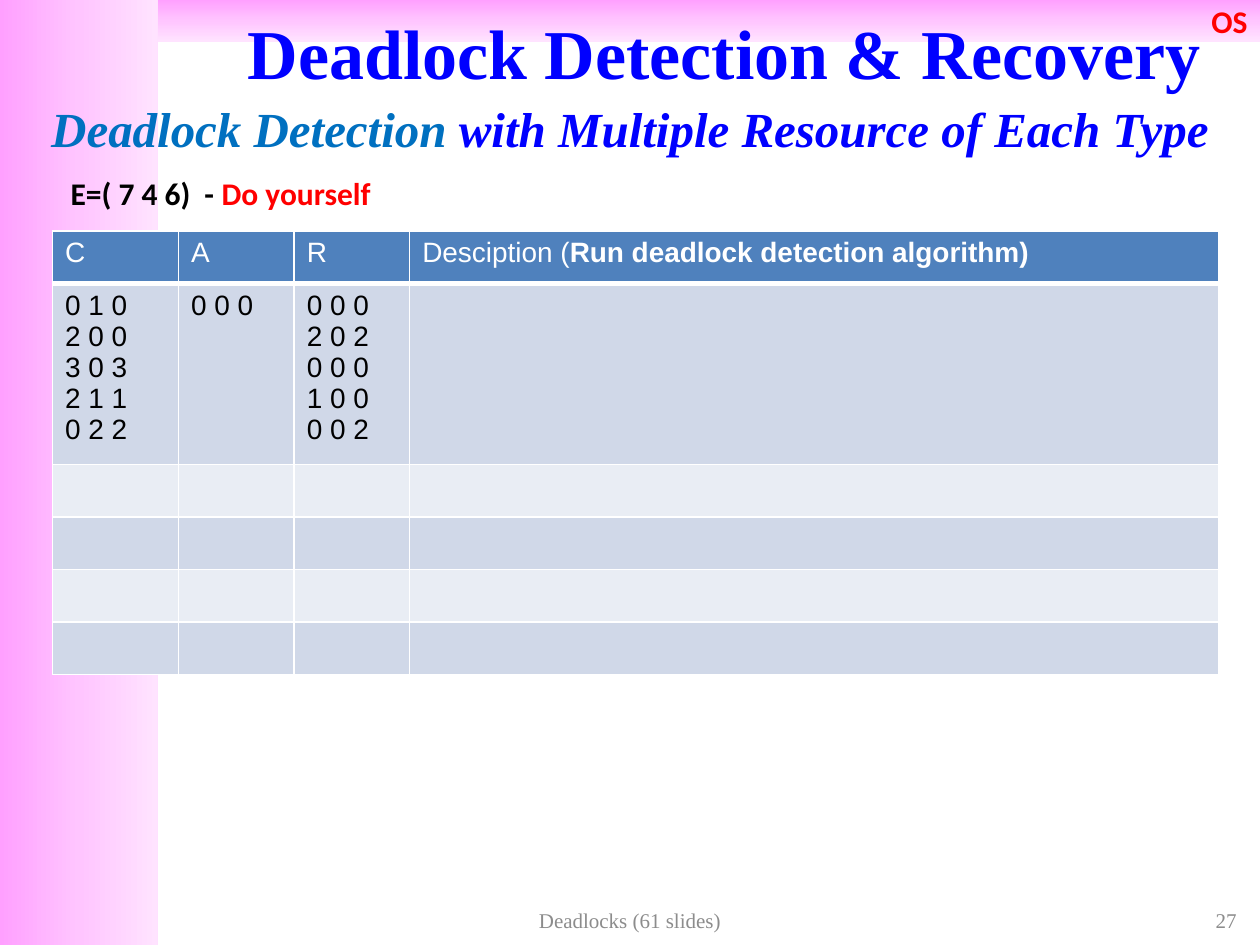
from pptx import Presentation
from pptx.dml.color import RGBColor
from pptx.enum.shapes import MSO_SHAPE
from pptx.enum.text import MSO_ANCHOR, PP_ALIGN
from pptx.oxml import parse_xml
from pptx.oxml.ns import nsdecls
from pptx.util import Cm, Pt

WHITE = RGBColor(0xFF, 0xFF, 0xFF)
BLACK = RGBColor(0, 0, 0)
RED = RGBColor(0xFF, 0, 0)
BLUE = RGBColor(0, 0, 0xFF)
SKY = RGBColor(0, 0x70, 0xC0)
GRAY = RGBColor(0x8C, 0x8C, 0x8C)
HEADER = RGBColor(0x4F, 0x81, 0xBD)
BAND_DARK = RGBColor(0xD0, 0xD8, 0xE8)
BAND_LIGHT = RGBColor(0xE9, 0xED, 0xF4)
PINKS = [(0, RGBColor(0xFF, 0xA0, 0xFF)), (50, RGBColor(0xFF, 0xC5, 0xFF)),
         (100, RGBColor(0xFF, 0xE3, 0xFF))]

COLUMNS = [2.54, 2.33, 2.33, 16.3]
ROW_HEIGHT, MATRIX_HEIGHT = 1.06, 3.64
HEADINGS = ["C", "A", "R", "Desciption ("]
MATRICES = [["0 1 0", "2 0 0", "3 0 3", "2 1 1", "0 2 2"], ["0 0 0"],
            ["0 0 0", "2 0 2", "0 0 0", "1 0 0", "0 0 2"], []]
EMPTY_ROWS = 4


def set_font(p, name, size, color, bold=False, italic=False):
    f = p.font
    f.name, f.size, f.bold, f.italic = name, Pt(size), bold, italic
    f.color.rgb = color


def add_runs(p, *runs):
    for text, color in runs:
        r = p.add_run()
        r.text = text
        r.font.color.rgb = color


def add_text(s, x, y, w, h, align, anchor=MSO_ANCHOR.MIDDLE, wrap=True):
    tf = s.shapes.add_textbox(Cm(x), Cm(y), Cm(w), Cm(h)).text_frame
    tf.word_wrap = wrap
    tf.vertical_anchor = anchor
    tf.paragraphs[0].alignment = align
    return tf


def add_band(s, x, y, w, h, angle):
    """Borderless rectangle with the pink gradient."""
    sp = s.shapes.add_shape(MSO_SHAPE.RECTANGLE, Cm(x), Cm(y), Cm(w), Cm(h))
    sp.shadow.inherit = False
    stops = "".join(f'<a:gs pos="{pos * 1000}"><a:srgbClr val="{color}"/></a:gs>'
                    for pos, color in PINKS)
    sp._element.spPr.insert(2, parse_xml(
        f'<a:gradFill {nsdecls("a")} rotWithShape="1"><a:gsLst>{stops}</a:gsLst>'
        f'<a:lin ang="{angle * 60000}" scaled="0"/></a:gradFill>'))
    sp.line.fill.background()
    return sp


def add_frame(s, w, h, side=3.18, top=0.84):
    # Left band, then the top band with the course label
    add_band(s, 0, 0, side, h, 0)
    tf = add_band(s, side, 0, w - side, top, 90).text_frame
    tf.vertical_anchor = MSO_ANCHOR.MIDDLE
    p = tf.paragraphs[0]
    p.text = "OS"
    p.alignment = PP_ALIGN.RIGHT
    set_font(p, "Calibri", 18, RED, bold=True)


def add_title(s, x, y, w, h):
    tf = add_text(s, x, y, w, h, PP_ALIGN.CENTER)
    p = tf.paragraphs[0]
    p._p.get_or_add_pPr().set("marL", str(Cm(3.81)))
    p.text = "Deadlock Detection & Recovery"
    set_font(p, "Times New Roman", 40, BLUE, bold=True)
    p = tf.add_paragraph()
    p.alignment = PP_ALIGN.CENTER
    p.space_before = Pt(3)
    add_runs(p, ("Deadlock Detection ", SKY),
             ("with Multiple Resource of Each Type", BLUE))
    set_font(p, "Times New Roman", 28, BLUE, bold=True, italic=True)


def add_exercise(s, x, y, w, h):
    tf = add_text(s, x, y, w, h, PP_ALIGN.CENTER, MSO_ANCHOR.TOP, wrap=False)
    p = tf.paragraphs[0]
    add_runs(p, ("E=( 7 4 6)  - ", BLACK), ("Do yourself", RED))
    set_font(p, "Calibri", 18, BLACK, bold=True)


def fill_cell(cell, lines, fill, color, bottom=1):
    # Borders come before the fill in the cell properties
    tcPr = cell._tc.get_or_add_tcPr()
    for side, width in (("L", 1), ("R", 1), ("T", 1), ("B", bottom)):
        tcPr.append(parse_xml(
            f'<a:ln{side} {nsdecls("a")} w="{Pt(width)}"><a:solidFill>'
            f'<a:srgbClr val="{WHITE}"/></a:solidFill></a:ln{side}>'))
    cell.fill.solid()
    cell.fill.fore_color.rgb = fill
    cell.text = "\n".join(lines)
    for p in cell.text_frame.paragraphs:
        set_font(p, "Arial", 16, color)


def add_matrix_table(s, x, y):
    heights = [ROW_HEIGHT, MATRIX_HEIGHT] + [ROW_HEIGHT] * EMPTY_ROWS
    table = s.shapes.add_table(len(heights), len(COLUMNS), Cm(x), Cm(y),
                               Cm(sum(COLUMNS)), Cm(sum(heights))).table
    for column, width in zip(table.columns, COLUMNS):
        column.width = Cm(width)
    for row, height in zip(table.rows, heights):
        row.height = Cm(height)

    # Header row
    for c, heading in enumerate(HEADINGS):
        fill_cell(table.cell(0, c), [heading], HEADER, WHITE, bottom=3)
    r = table.cell(0, len(COLUMNS) - 1).text_frame.paragraphs[0].add_run()
    r.text = "Run deadlock detection algorithm)"
    r.font.bold = True

    # Matrices, then empty rows to work in
    for i, row in enumerate([MATRICES] + [[[]] * len(COLUMNS)] * EMPTY_ROWS):
        for c, lines in enumerate(row):
            fill_cell(table.cell(i + 1, c), lines,
                      BAND_LIGHT if i % 2 else BAND_DARK, BLACK)


def add_footer(s, y, h):
    for text, x, w, align in (("Deadlocks (61 slides)", 8.68, 8.04, PP_ALIGN.CENTER),
                              ("27", 19.26, 5.92, PP_ALIGN.RIGHT)):
        p = add_text(s, x, y, w, h, align).paragraphs[0]
        p.text = text
        set_font(p, "Times New Roman", 12, GRAY)


def main():
    prs = Presentation()
    prs.slide_width, prs.slide_height = Cm(25.4), Cm(19.05)
    s = prs.slides.add_slide(prs.slide_layouts[6])
    add_frame(s, 25.4, 19.05)
    add_title(s, 0, 0.3, 25.4, 2.75)
    add_exercise(s, 0.64, 3.39, 7.62, 1.03)
    add_matrix_table(s, 1.06, 4.66)
    add_footer(s, 18.2, 0.69)
    prs.save("out.pptx")


if __name__ == "__main__":
    main()
